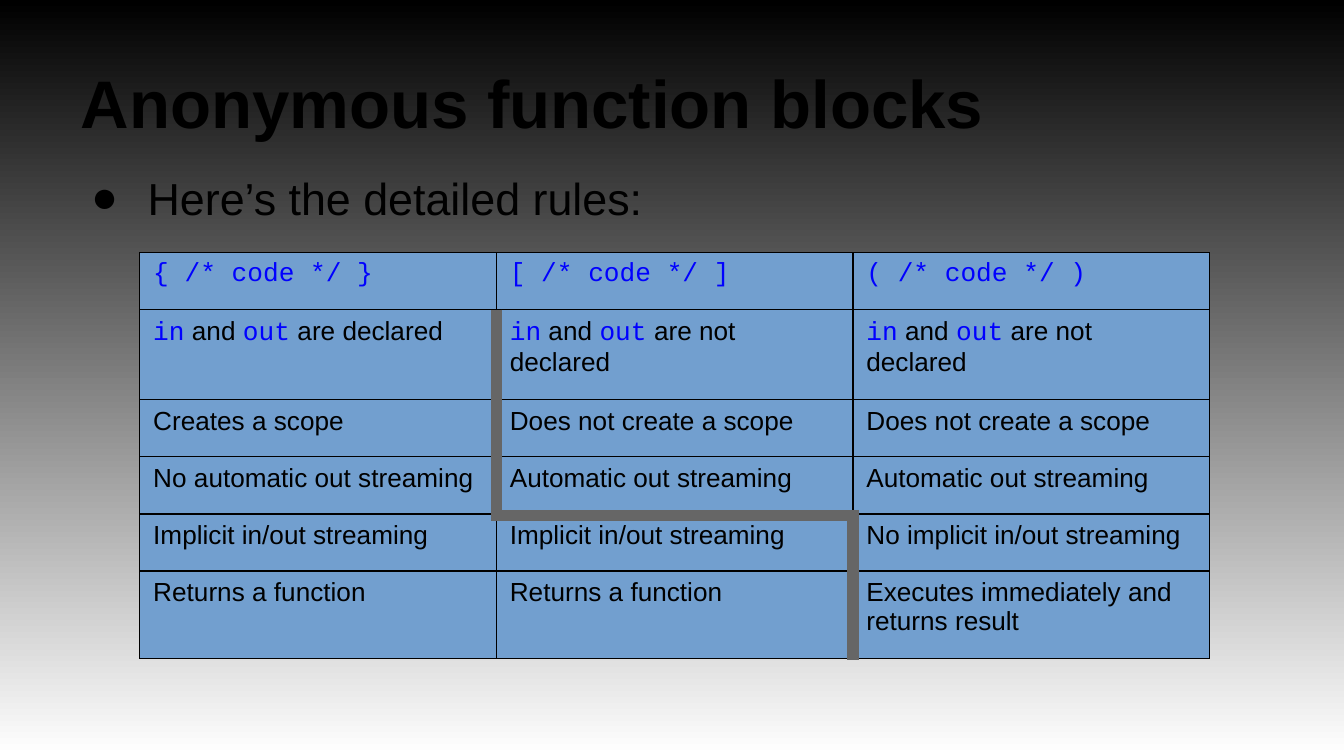
import itertools
import pptx
import pptx.dml.color
import pptx.enum.shapes
import pptx.enum.text
import pptx.oxml
import pptx.oxml.ns
import pptx.util
from dataclasses import dataclass


@dataclass(frozen=True)
class Theme:
    ink: str = "000000"
    paper: str = "FFFFFF"
    code: str = "0000FF"
    cell: str = "729FCF"
    rule: str = "666666"
    sans: str = "Arial"
    mono: str = "Courier New"
    head: int = 36
    body: int = 24
    small: int = 14
    thin: float = 0.75
    thick: int = 6


theme = Theme()
inch = pptx.util.Inches
rgb = pptx.dml.color.RGBColor.from_string
ns = pptx.oxml.ns.nsdecls("a")


def write(para, text, size=theme.small, bold=False):
    """Add text to a paragraph; parts between backticks are set as code."""
    for place, part in enumerate(text.split("`")):
        if part:
            run = para.add_run()
            run.text = part
            font = run.font
            font.size, font.bold = pptx.util.Pt(size), bold
            font.name = theme.mono if place % 2 else theme.sans
            font.color.rgb = rgb(theme.code if place % 2 else theme.ink)


# A wide slide, 16 to 9
deck = pptx.Presentation()
deck.slide_width, deck.slide_height = inch(10), inch(10 * 9 / 16)
slide = deck.slides.add_slide(deck.slide_layouts[5])

# Background: dark at the top, light at the bottom
fill = slide.background.fill
fill.gradient()
fill.gradient_angle = 270
for stop, shade, spot in zip(fill.gradient_stops, (theme.ink, theme.paper), (0, 1)):
    stop.color.rgb = rgb(shade)
    stop.position = spot

# Title and lead line share one column
title = slide.shapes.title
title.left, title.top, title.width, title.height = map(inch, (0.5, 0.23, 9, 0.93))
lead = slide.shapes.add_textbox(*map(inch, (0.5, 1.17, 9, 4.07)))
for box in (title, lead):
    frame = box.text_frame
    frame.word_wrap = True
    frame.auto_size = pptx.enum.text.MSO_AUTO_SIZE.NONE
    frame.margin_left = frame.margin_right = inch(0.1)
    frame.margin_top = frame.margin_bottom = inch(0.1)
    frame.paragraphs[0].alignment = pptx.enum.text.PP_ALIGN.LEFT
title.text_frame.vertical_anchor = pptx.enum.text.MSO_ANCHOR.BOTTOM
write(title.text_frame.paragraphs[0], "Anonymous function blocks", size=theme.head, bold=True)

para = lead.text_frame.paragraphs[0]
props = para._p.get_or_add_pPr()
props.set("marL", str(inch(0.5)))
props.set("indent", str(inch(-0.42)))
for mark in (
    f'<a:buClr {ns}><a:srgbClr val="{theme.ink}"/></a:buClr>',
    f'<a:buFont {ns} typeface="{theme.sans}"/>',
    f'<a:buChar {ns} char="●"/>',
):
    props.append(pptx.oxml.parse_xml(mark))
write(para, "Here’s the detailed rules:", size=theme.body)

# Table of rules: equal columns, and equal rows but for the two of two lines
rows = [
    ("`{ /* code */ }`", "`[ /* code */ ]`", "`( /* code */ )`"),
    ("`in` and `out` are declared",) + ("`in` and `out` are not declared",) * 2,
    ("Creates a scope",) + ("Does not create a scope",) * 2,
    ("No automatic out streaming",) + ("Automatic out streaming",) * 2,
    ("Implicit in/out streaming",) * 2 + ("No implicit in/out streaming",),
    ("Returns a function",) * 2 + ("Executes immediately and returns result",),
]
wide = [7.96 / 3] * 3
low = (3.02 - 0.67 - 0.65) / 4
tall = [low, 0.67, low, low, low, 0.65]
xs = list(itertools.accumulate(wide, initial=1.04))
ys = list(itertools.accumulate(tall, initial=1.88))
grid = slide.shapes.add_table(
    len(rows), len(wide), inch(xs[0]), inch(ys[0]), inch(sum(wide)), inch(sum(tall))
).table
grid.first_row = grid.horz_banding = False
for col, size in zip(grid.columns, wide):
    col.width = inch(size)
for row, size, texts in zip(grid.rows, tall, rows):
    row.height = inch(size)
    for cell, text in zip(row.cells, texts):
        cell.fill.solid()
        cell.fill.fore_color.rgb = rgb(theme.cell)
        cell.margin_left = cell.margin_right = inch(0.1)
        cell.margin_top = cell.margin_bottom = inch(0.05)
        write(cell.text_frame.paragraphs[0], text)
        for place, side in enumerate("LRTB"):
            edge = pptx.oxml.parse_xml(
                f'<a:ln{side} {ns} w="{pptx.util.Pt(theme.thin)}"><a:solidFill>'
                f'<a:srgbClr val="{theme.ink}"/></a:solidFill></a:ln{side}>'
            )
            cell._tc.get_or_add_tcPr().insert(place, edge)

# Stepped divider along the cell edges, lapped by half its width at the corners
lap = theme.thick / 72 / 2
turn = ys[4] + 0.01
steps = [
    (xs[1], ys[1], xs[1], turn + lap),
    (xs[1], turn, xs[2], turn),
    (xs[2], turn - lap, xs[2], ys[6] + 0.01),
]
for ends in steps:
    line = slide.shapes.add_connector(
        pptx.enum.shapes.MSO_CONNECTOR.STRAIGHT, *map(inch, ends)
    )
    line.line.color.rgb = rgb(theme.rule)
    line.line.width = pptx.util.Pt(theme.thick)
    line._element.spPr.append(pptx.oxml.parse_xml(f"<a:effectLst {ns}/>"))

deck.save("out.pptx")
